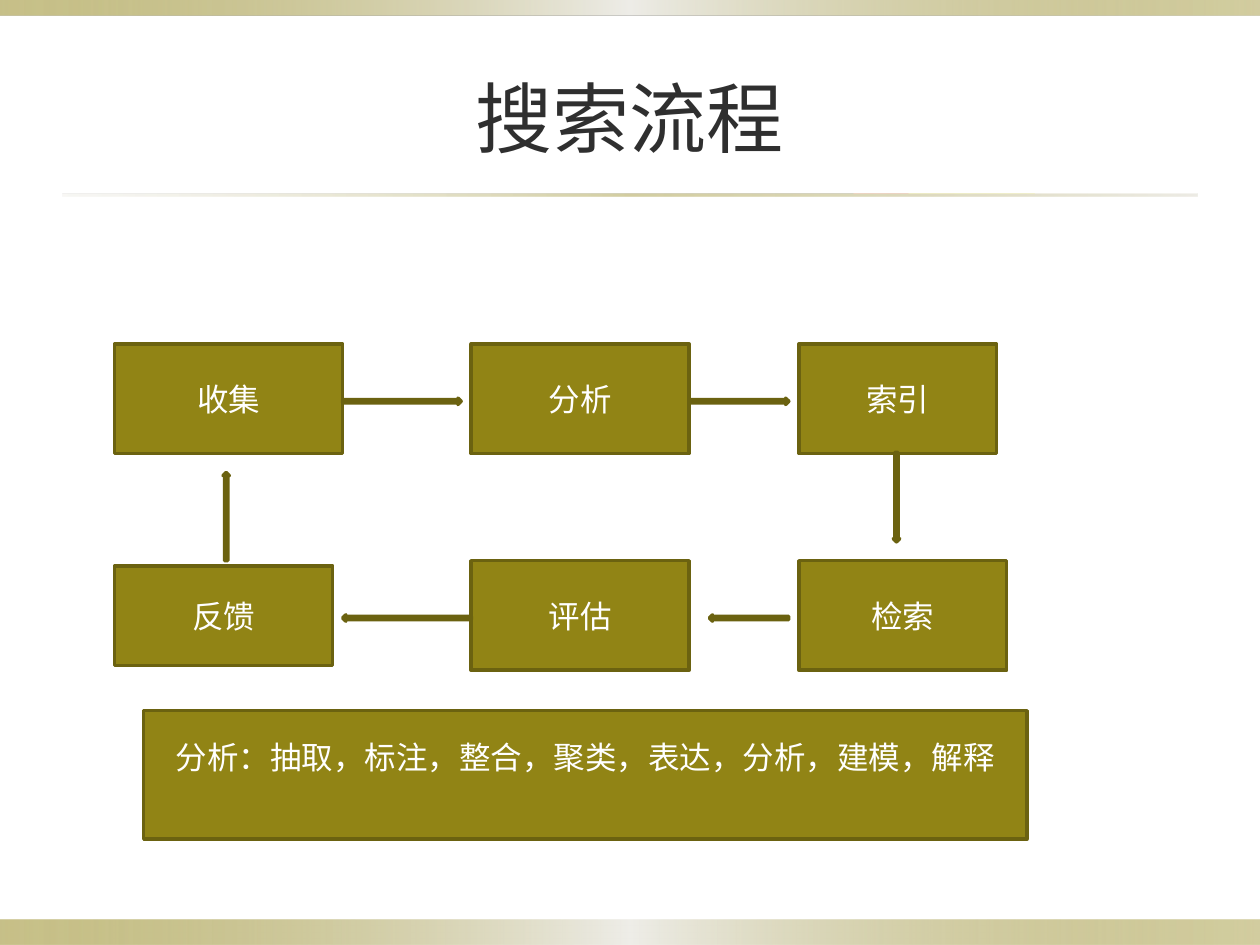
from lxml import etree
from pptx import Presentation
from pptx.dml.color import RGBColor
from pptx.enum.shapes import MSO_SHAPE
from pptx.enum.text import MSO_ANCHOR, PP_ALIGN
from pptx.oxml.ns import qn
from pptx.util import Inches, Pt

RECTANGLE = MSO_SHAPE.RECTANGLE
RIGHT, LEFT = MSO_SHAPE.RIGHT_ARROW, MSO_SHAPE.LEFT_ARROW
UP, DOWN = MSO_SHAPE.UP_ARROW, MSO_SHAPE.DOWN_ARROW
MIDDLE, CENTER = MSO_ANCHOR.MIDDLE, PP_ALIGN.CENTER

OLIVE = RGBColor(0x91, 0x84, 0x15)
DARK_OLIVE = RGBColor(0x6B, 0x62, 0x10)
PALE = RGBColor(0xEE, 0xED, 0xE8)
SAND = RGBColor(0xDC, 0xD9, 0xCC)
INK = RGBColor(0x2F, 0x2F, 0x2F)
WHITE = RGBColor(0xFF, 0xFF, 0xFF)
FONT = "Karla"

WIDTH, HEIGHT = 10, 7.5
COLUMNS = [0.91, 3.74, 6.34]
ROWS = [2.73, 4.45]
BOX_HEIGHT = 0.87
THICKNESS = 0.05
TOP_LANE, BOTTOM_LANE = [row + BOX_HEIGHT / 2 for row in ROWS]

deck = Presentation()
deck.slide_width, deck.slide_height = Inches(WIDTH), Inches(HEIGHT)
page = deck.slides.add_slide(deck.slide_layouts[5])


def add_block(kind, left, top, width, height):
    shape = page.shapes.add_shape(
        kind, Inches(left), Inches(top), Inches(width), Inches(height))
    shape.shadow.inherit = False
    shape.fill.solid()
    shape.fill.fore_color.rgb = OLIVE
    shape.line.color.rgb = DARK_OLIVE
    shape.line.width = Pt(2)
    return shape


def write_text(shape, text, size, color):
    frame = shape.text_frame
    frame.text = text
    frame.word_wrap = True
    frame.vertical_anchor = MIDDLE
    para = frame.paragraphs[0]
    para.alignment = CENTER
    font = para.runs[0].font
    font.name, font.size, font.color.rgb = FONT, Pt(size), color


band_stops = [(0, OLIVE, 50), (50, PALE, 100), (100, OLIVE, 40)]
rule_stops = [(0, SAND, 20), (50, OLIVE, 40), (100, SAND, 50)]
bands = [
    (0, 7.3, WIDTH, 0.2, band_stops),
    (0, 0, WIDTH, 0.12, band_stops),
    (0.5, 1.54, 0.9 * WIDTH, 0.02, rule_stops),
]
for left, top, width, height, stops in bands:
    band = add_block(RECTANGLE, left, top, width, height)
    band.line.fill.background()
    band.fill.gradient()
    band.fill.gradient_angle = 0
    stop_list = band.element.spPr.find(".//" + qn("a:gsLst"))
    for old_stop in list(stop_list):
        stop_list.remove(old_stop)
    for position, color, opacity in stops:
        stop = etree.SubElement(stop_list, qn("a:gs"), pos=str(position * 1000))
        tint = etree.SubElement(stop, qn("a:srgbClr"), val=str(color))
        etree.SubElement(tint, qn("a:alpha"), val=str(opacity * 1000))

title = page.shapes.title
title.left, title.top = Inches(0.05 * WIDTH), Inches(0.04 * HEIGHT)
title.width, title.height = Inches(0.9 * WIDTH), Inches(1.25)
write_text(title, "搜索流程", 44, INK)

steps = [
    ("收集", 0, TOP_LANE, 1.81, BOX_HEIGHT),
    ("分析", 1, TOP_LANE, 1.73, BOX_HEIGHT),
    ("索引", 2, TOP_LANE, 1.57, BOX_HEIGHT),
    ("检索", 2, BOTTOM_LANE, 1.65, BOX_HEIGHT),
    ("反馈", 0, BOTTOM_LANE, 1.73, 0.79),
    ("评估", 1, BOTTOM_LANE, 1.73, BOX_HEIGHT),
]
for label, column, lane, width, height in steps:
    step = add_block(RECTANGLE, COLUMNS[column], lane - height / 2, width, height)
    write_text(step, label, 18, WHITE)

across = [
    (RIGHT, 2.72, TOP_LANE, 0.94),
    (RIGHT, 5.47, TOP_LANE, 0.79),
    (LEFT, 2.72, BOTTOM_LANE, 1.02),
    (LEFT, 5.63, BOTTOM_LANE, 0.63),
]
for kind, left, lane, length in across:
    add_block(kind, left, lane + 0.02 - THICKNESS / 2, length, THICKNESS)

for kind, left, top, length in [(DOWN, 7.09, 3.59, 0.71), (UP, 1.77, 3.75, 0.7)]:
    add_block(kind, left, top, THICKNESS, length)

summary = add_block(RECTANGLE, 1.14, 5.64, 7.01, 1.02)
write_text(summary, "分析：抽取，标注，整合，聚类，表达，分析，建模，解释", 18, WHITE)
summary.text_frame.margin_bottom = Inches(0.33)

deck.save("out.pptx")
